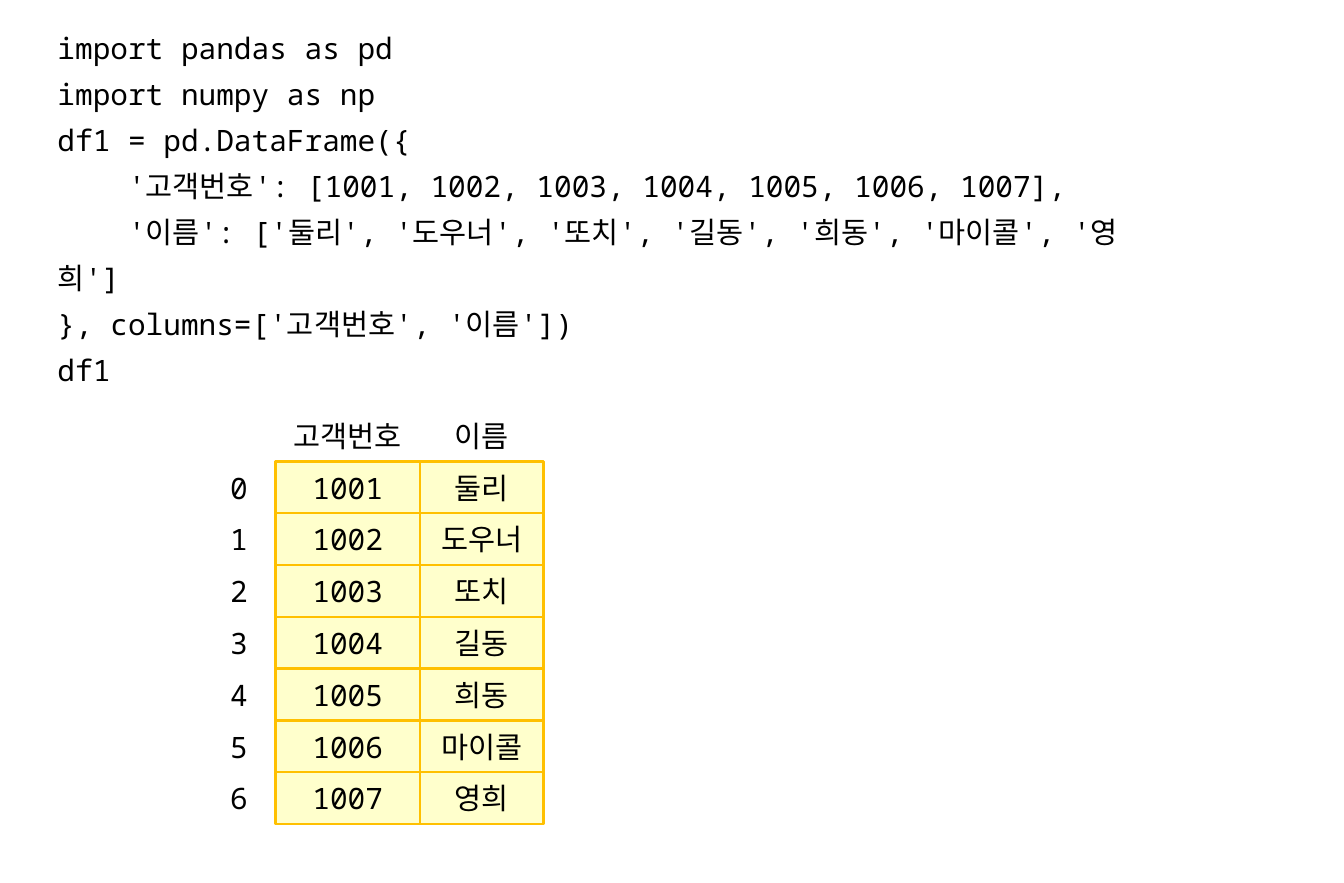
from pptx import Presentation
from pptx.dml.color import RGBColor
from pptx.enum.shapes import MSO_SHAPE as SHAPE
from pptx.enum.text import MSO_ANCHOR as ANCHOR, MSO_AUTO_SIZE as FIT, PP_ALIGN as ALIGN
from pptx.util import Pt
from lxml.etree import SubElement
from pptx.oxml.ns import qn

PX = 9144
BLACK = RGBColor(0x00, 0x00, 0x00)
CREAM = RGBColor(0xFF, 0xFF, 0xCC)
AMBER = RGBColor(0xFF, 0xC0, 0x00)
FONT = "Noto Sans Mono"

CODE = """import pandas as pd
import numpy as np
df1 = pd.DataFrame({
    '고객번호': [1001, 1002, 1003, 1004, 1005, 1006, 1007],
    '이름': ['둘리', '도우너', '또치', '길동', '희동', '마이콜', '영희']
}, columns=['고객번호', '이름'])
df1"""
NAMES = ["둘리", "도우너", "또치", "길동", "희동", "마이콜", "영희"]
COLUMNS = [
    (172, 62, "", range(len(NAMES))),
    (234, 123, "고객번호", range(1001, 1001 + len(NAMES))),
    (357, 105, "이름", NAMES),
]
TOP, ROW = 348, 44


class Deck:
    """Holds the text style and the current slide, and adds elements to it."""

    def __init__(self, prs):
        self.slide = prs.slides.add_slide(prs.slide_layouts[6])
        self.font = {"name": FONT, "size": Pt(18)}
        self.cell_frame = {"word_wrap": True, "vertical_anchor": ANCHOR.MIDDLE}
        self.code_frame = {"word_wrap": False, "auto_size": FIT.SHAPE_TO_FIT_TEXT}

    def set_text(self, sp, text, frame, para):
        tf = sp.text_frame
        for key, value in frame.items():
            setattr(tf, key, value)
        for i, line in enumerate(text.split("\n")):
            p = tf.add_paragraph() if i else tf.paragraphs[0]
            for key, value in para.items():
                setattr(p, key, value)
            r = p.add_run()
            r.text = line
            for key, value in self.font.items():
                setattr(r.font, key, value)
            r.font.color.rgb = BLACK
            SubElement(r._r.get_or_add_rPr(), qn("a:ea"), typeface=FONT)

    def box(self, *px):
        return self.slide.shapes.add_textbox(*(n * PX for n in px))

    def code(self, text, *px):
        self.set_text(self.box(*px), text, self.code_frame, {"line_spacing": 1.3})

    def label(self, text, *px):
        self.set_text(self.box(*px), text, self.cell_frame, {"alignment": ALIGN.CENTER})

    def cell(self, text, *px):
        sp = self.slide.shapes.add_shape(SHAPE.RECTANGLE, *(n * PX for n in px))
        sp.shadow.inherit = False
        sp.fill.solid()
        sp.fill.fore_color.rgb = CREAM
        sp.line.color.rgb = AMBER
        sp.line.width = Pt(1.5)
        self.set_text(sp, text, self.cell_frame, {"alignment": ALIGN.CENTER})


def main():
    prs = Presentation()
    prs.slide_width, prs.slide_height = 1142 * PX, 750 * PX
    deck = Deck(prs)
    for left, width, header, values in COLUMNS:
        if header:
            deck.label(header, left, TOP, width, ROW)
        add = deck.cell if header else deck.label
        for i, value in enumerate(values, 1):
            add(str(value), left, TOP + i * ROW, width, ROW)
    deck.code(CODE, 39, 12, 973, 282)
    prs.save("out.pptx")


if __name__ == "__main__":
    main()
